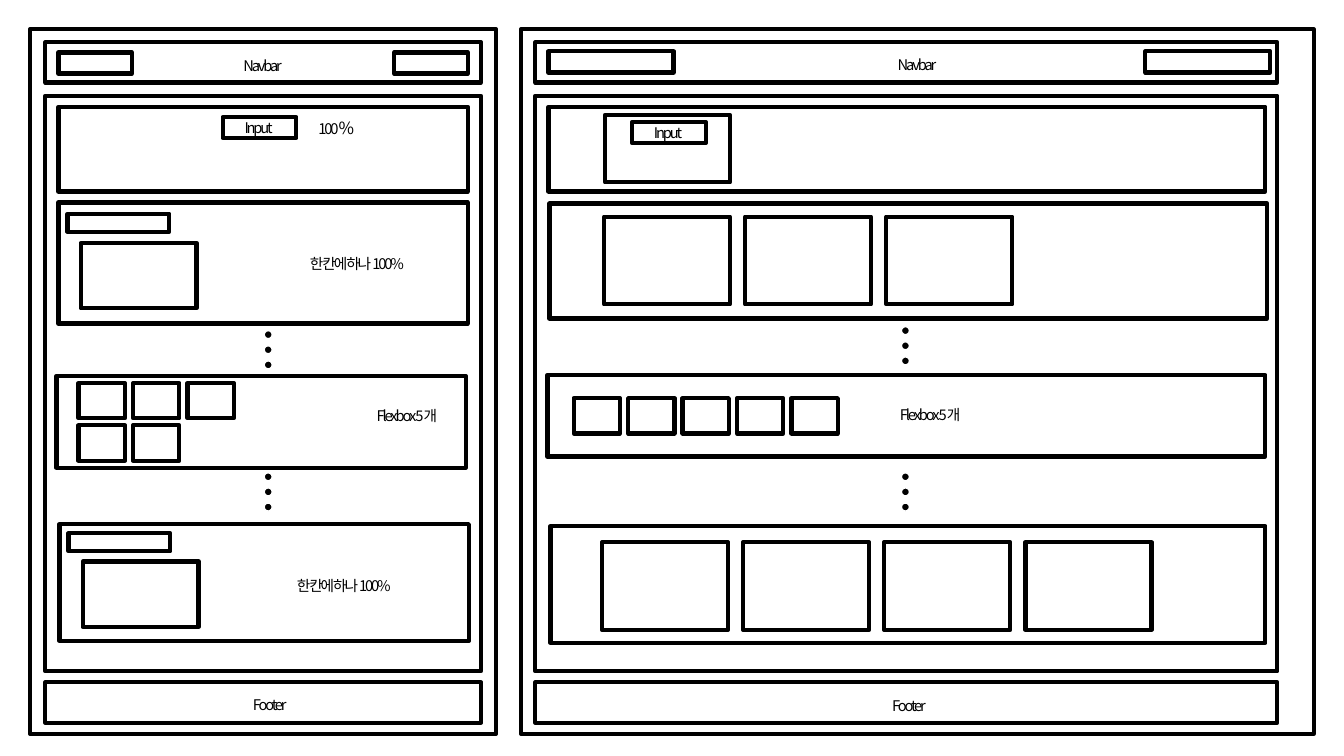
from dataclasses import dataclass

from lxml.etree import SubElement
from pptx import Presentation
from pptx.dml.color import RGBColor
from pptx.enum.shapes import MSO_SHAPE
from pptx.enum.text import MSO_AUTO_SIZE, PP_ALIGN
from pptx.oxml.ns import qn
from pptx.util import Inches, Pt


@dataclass(frozen=True)
class Theme:
    ink: RGBColor = RGBColor(0, 0, 0)
    paper: RGBColor = RGBColor(255, 255, 255)
    font: str = "Noto Sans CJK KR"
    label_size: float = 10.5
    percent_size: float = 12
    tracking: str = "-150"
    outline: float = 3
    dot_outline: float = 1


@dataclass(frozen=True)
class Box:
    left: float
    top: float
    width: float
    height: float

    def inside(self, left, top, width, height):
        """Return a box whose position is measured from this one's corner."""
        return Box(self.left + left, self.top + top, width, height)

    def lengths(self):
        return [Inches(value) for value in
                (self.left, self.top, self.width, self.height)]


THEME = Theme()


def add_frame(page, box):
    frame = page.shapes.add_shape(MSO_SHAPE.RECTANGLE, *box.lengths())
    frame.shadow.inherit = False
    frame.fill.background()
    frame.line.color.rgb = THEME.ink
    frame.line.width = Pt(THEME.outline)


def add_label(page, box, *spans, align=PP_ALIGN.CENTER):
    """Place one line of text; each span is a (text, size) pair."""
    label = page.shapes.add_textbox(*box.lengths())
    frame = label.text_frame
    frame.word_wrap = True
    frame.auto_size = MSO_AUTO_SIZE.SHAPE_TO_FIT_TEXT
    para = frame.paragraphs[0]
    para.alignment = align
    for text, size in spans:
        span = para.add_run()
        span.text = text
        span.font.size = Pt(size)
        span.font.name = THEME.font
        span.font.color.rgb = THEME.ink
        properties = span.font._element
        properties.set("spc", THEME.tracking)
        SubElement(properties, qn("a:ea")).set("typeface", THEME.font)


def add_caption(page, box, text):
    add_label(page, box, (text, THEME.label_size))


def add_grid(page, first, count, columns, column_step, row_step=0):
    """Repeat the first frame across columns and down rows."""
    for index in range(count):
        row, column = divmod(index, columns)
        add_frame(page, first.inside(column * column_step, row * row_step,
                                     first.width, first.height))


def add_ellipsis(page, first):
    """Stack three dots downwards from the first one."""
    for index in range(3):
        box = first.inside(0, index * 0.15, first.width, first.height)
        dot = page.shapes.add_shape(MSO_SHAPE.OVAL, *box.lengths())
        dot.shadow.inherit = False
        dot.fill.solid()
        dot.fill.fore_color.rgb = THEME.ink
        dot.line.color.rgb = THEME.paper
        dot.line.width = Pt(THEME.dot_outline)


def add_navbar(page, box, button_width, button_top, right_gap, label):
    add_frame(page, box)
    for left in (0.13, box.width - right_gap - button_width):
        add_frame(page, box.inside(left, button_top, button_width, 0.21))
    add_caption(page, label, "Navbar")


def add_footer(page, box, label):
    add_frame(page, box)
    add_caption(page, label, "Footer")


def add_input(page, box):
    add_frame(page, box)
    add_caption(page, box.inside(-0.07, -0.03, 0.85, 0.29), "Input")


def add_single_card_section(page, box, heading_top, card_left, card_top,
                            caption_left):
    add_frame(page, box)
    add_frame(page, box.inside(0.09, heading_top, 1.01, 0.18))
    add_frame(page, box.inside(card_left, card_top, 1.15, 0.65))
    add_caption(page, box.inside(caption_left, 0.47, 1.64, 0.28),
                "한 칸에 하나 100%")


def add_card_row_section(page, box, card_left, card_top, count):
    add_frame(page, box)
    first = box.inside(card_left, card_top, 1.25, 0.87)
    add_grid(page, first, count, count, 1.4)


def add_flexbox_section(page, box, tile_left, tile_top, columns, caption_left):
    add_frame(page, box)
    first = box.inside(tile_left, tile_top, 0.46, 0.35)
    add_grid(page, first, 5, columns, 0.54, 0.42)
    add_caption(page, box.inside(caption_left, 0.26, 0.85, 0.29),
                "Flexbox 5개")


def add_mobile_layout(page, box):
    add_frame(page, box)
    add_navbar(page, box.inside(0.15, 0.13, 4.32, 0.4), 0.73, 0.1, 0.13,
               box.inside(1.88, 0.22, 0.85, 0.29))
    add_frame(page, box.inside(0.15, 0.66, 4.32, 5.71))
    search = box.inside(0.28, 0.77, 4.06, 0.84)
    add_frame(page, search)
    add_input(page, search.inside(1.63, 0.1, 0.73, 0.21))
    add_label(page, search.inside(2.48, 0.06, 6.67, 0.3),
              ("100", THEME.label_size), ("%", THEME.percent_size),
              align=PP_ALIGN.LEFT)
    add_single_card_section(page, box.inside(0.28, 1.72, 4.06, 1.2),
                            0.11, 0.22, 0.4, 2.14)
    add_ellipsis(page, box.inside(2.32, 2.99, 0.08, 0.08))
    add_flexbox_section(page, box.inside(0.26, 3.44, 4.06, 0.91),
                        0.22, 0.07, 3, 3.05)
    add_ellipsis(page, box.inside(2.32, 4.4, 0.08, 0.08))
    add_single_card_section(page, box.inside(0.29, 4.91, 4.06, 1.16),
                            0.09, 0.23, 0.37, 2)
    add_footer(page, box.inside(0.15, 6.48, 4.32, 0.4),
               box.inside(1.95, 6.56, 0.85, 0.29))


def add_desktop_layout(page, box):
    add_frame(page, box)
    add_navbar(page, box.inside(0.14, 0.13, 7.36, 0.4), 1.24, 0.09, 0.07,
               box.inside(3.2, 0.21, 1.45, 0.29))
    add_frame(page, box.inside(0.14, 0.66, 7.36, 5.71))
    search = box.inside(0.27, 0.77, 7.11, 0.84)
    add_frame(page, search)
    add_frame(page, search.inside(0.56, 0.08, 1.24, 0.67))
    add_input(page, search.inside(0.83, 0.15, 0.73, 0.21))
    add_card_row_section(page, box.inside(0.28, 1.73, 7.12, 1.14),
                         0.54, 0.13, 3)
    add_ellipsis(page, box.inside(3.77, 2.95, 0.08, 0.08))
    add_flexbox_section(page, box.inside(0.26, 3.43, 7.12, 0.81),
                        0.26, 0.23, 5, 3.37)
    add_ellipsis(page, box.inside(3.77, 4.4, 0.08, 0.08))
    add_card_row_section(page, box.inside(0.29, 4.93, 7.09, 1.16),
                         0.51, 0.16, 4)
    add_footer(page, box.inside(0.14, 6.48, 7.36, 0.4),
               box.inside(3.12, 6.57, 1.45, 0.29))


def main():
    deck = Presentation()
    deck.slide_width, deck.slide_height = Inches(13.33), Inches(7.5)
    blank_layout = deck.slide_layouts[6]
    page = deck.slides.add_slide(blank_layout)
    add_mobile_layout(page, Box(0.3, 0.29, 4.62, 6.99))
    add_desktop_layout(page, Box(5.17, 0.29, 7.86, 6.99))
    deck.save("out.pptx")


if __name__ == "__main__":
    main()
